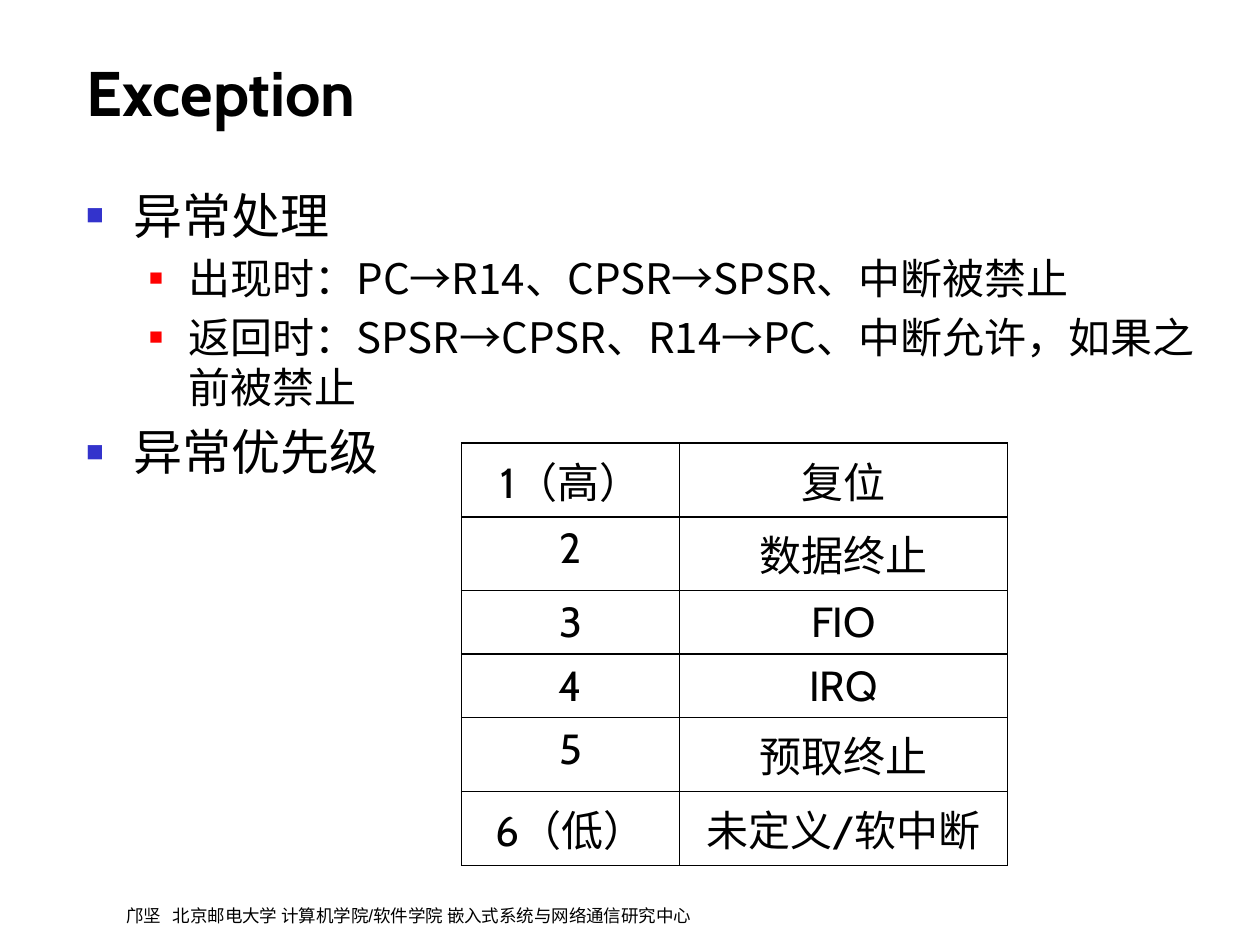
"""Build the Exception slide: handling steps and a priority table."""
from lxml import etree
from pptx import Presentation
from pptx.dml.color import RGBColor
from pptx.enum import text as t
from pptx.oxml import ns
from pptx.util import Pt

BLACK = RGBColor(0x00, 0x00, 0x00)
BLUE = RGBColor(0x33, 0x33, 0xCC)
RED = RGBColor(0xFF, 0x00, 0x00)
CABIN, CJK, ARIAL = "Cabin", "Noto Sans CJK SC", "Arial"

TITLE = "Exception"
FOOTER = "邝坚\t北京邮电大学 计算机学院/软件学院 嵌入式系统与网络通信研究中心"
OUTLINE = [
    (0, "异常处理"),
    (1, "出现时：PC→R14、CPSR→SPSR、中断被禁止"),
    (1, "返回时：SPSR→CPSR、R14→PC、中断允许，如果之前被禁止"),
    (0, "异常优先级"),
]
LEVELS = [
    {"size": 28, "font": CABIN, "bullet": (BLUE, 60, 27, 27)},
    {"size": 24, "font": CJK, "bullet": (RED, 55, 58.5, 22.5)},
]
PRIORITIES = [
    ("1（高）", "复位"),
    ("2", "数据终止"),
    ("3", "FIO"),
    ("4", "IRQ"),
    ("5", "预取终止"),
    ("6（低）", "未定义/软中断"),
]
COLUMN_WIDTHS = (124.6, 187.2)
LATIN_ROW, CHINESE_ROW = 36.3, 42.2


def add_element(parent, tag, **attributes):
    element = etree.SubElement(parent, ns.qn(tag))
    for name, value in attributes.items():
        element.set(name, str(value))
    return element


def write(paragraph, content, size, font=CABIN, bold=False,
          align=t.PP_ALIGN.LEFT, bullet=None, tab=None):
    paragraph.alignment = align
    run = paragraph.add_run()
    run.text = content
    run.font.size, run.font.name, run.font.bold = Pt(size), font, bold
    run.font.color.rgb = BLACK
    latin = run.font._element.find(ns.qn("a:latin"))
    east_asian = etree.Element(ns.qn("a:ea"), typeface=CJK)
    latin.addnext(east_asian)
    properties = paragraph._p.get_or_add_pPr()
    if bullet:
        color, percent, margin, hanging = bullet
        paragraph.space_before = Pt(size * 0.2)
        properties.set("marL", str(Pt(margin)))
        properties.set("indent", str(-Pt(hanging)))
        add_element(add_element(properties, "a:buClr"), "a:srgbClr", val=color)
        add_element(properties, "a:buSzPct", val=percent * 1000)
        add_element(properties, "a:buFont", typeface=ARIAL)
        add_element(properties, "a:buChar", char="■")
    if tab:
        add_element(add_element(properties, "a:tabLst"), "a:tab",
                    pos=Pt(tab), algn="l")


def add_frame(slide, left, top, width, height, anchor=t.MSO_ANCHOR.TOP):
    frame = slide.shapes.add_textbox(Pt(left), Pt(top), Pt(width), Pt(height)).text_frame
    frame.word_wrap = True
    frame.vertical_anchor = anchor
    return frame


def outline_cell(cell):
    cell.fill.background()
    properties = cell._tc.get_or_add_tcPr()
    for position, side in enumerate(("a:lnL", "a:lnR", "a:lnT", "a:lnB")):
        line = add_element(properties, side, w=Pt(1))
        add_element(add_element(line, "a:solidFill"), "a:srgbClr", val=BLACK)
        properties.insert(position, line)


def add_title(slide):
    title = slide.shapes.title
    title.left, title.top, title.width, title.height = Pt(42.5), Pt(23.4), Pt(677.5), Pt(54)
    title.text_frame.auto_size = t.MSO_AUTO_SIZE.NONE
    title.text_frame.vertical_anchor = t.MSO_ANCHOR.BOTTOM
    write(title.text_frame.paragraphs[0], TITLE, size=36, bold=True)


def add_outline(slide):
    frame = add_frame(slide, 42.2, 102.2, 652.3, 390.2)
    for index, (level, content) in enumerate(OUTLINE):
        paragraph = frame.add_paragraph() if index else frame.paragraphs[0]
        paragraph.level = level
        write(paragraph, content, **LEVELS[level])


def add_priorities(slide):
    heights = [LATIN_ROW if "".join(contents).isascii() else CHINESE_ROW
               for contents in PRIORITIES]
    table = slide.shapes.add_table(
        len(PRIORITIES), len(COLUMN_WIDTHS), Pt(263.8), Pt(253.2),
        Pt(sum(COLUMN_WIDTHS)), Pt(sum(heights))).table
    table.first_row = table.horz_banding = False
    for column, width in zip(table.columns, COLUMN_WIDTHS):
        column.width = Pt(width)
    for row, height, contents in zip(table.rows, heights, PRIORITIES):
        row.height = Pt(height)
        for cell, content in zip(row.cells, contents):
            outline_cell(cell)
            write(cell.text_frame.paragraphs[0], content, size=24,
                  align=t.PP_ALIGN.CENTER)


def main():
    deck = Presentation()
    deck.slide_width, deck.slide_height = Pt(720), Pt(540)
    slide = deck.slides.add_slide(deck.slide_layouts[5])
    footer = add_frame(slide, 65.2, 514.4, 419.8, 17.3, t.MSO_ANCHOR.MIDDLE)
    write(footer.paragraphs[0], FOOTER, size=10, font=ARIAL, tab=26.5)
    add_title(slide)
    add_outline(slide)
    add_priorities(slide)
    deck.save("out.pptx")


if __name__ == "__main__":
    main()
